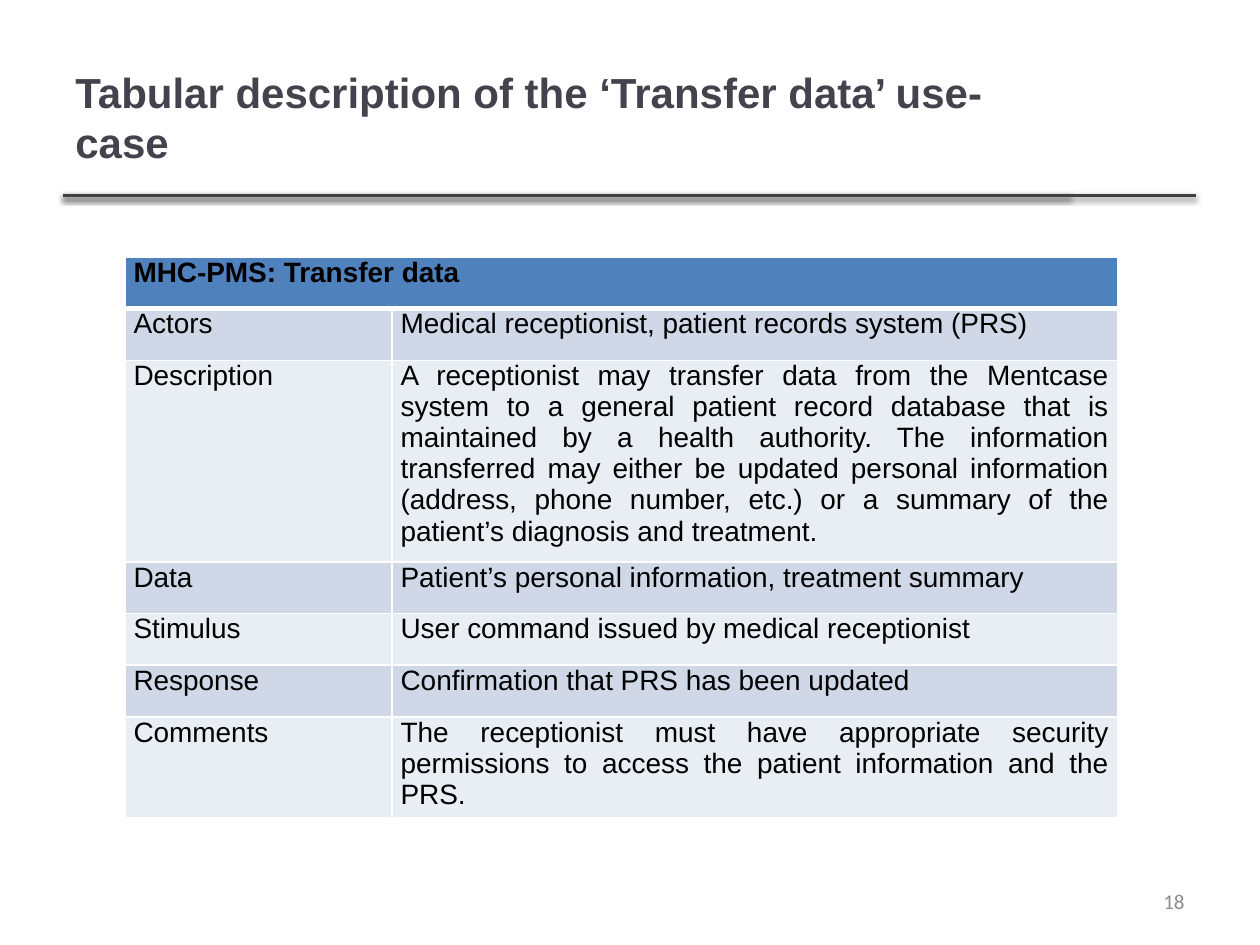
"""Build a slide with a tabular description of the 'Transfer data' use-case."""
from dataclasses import dataclass

from lxml.etree import SubElement
from pptx import Presentation
from pptx.dml.color import RGBColor
from pptx.enum.shapes import MSO_CONNECTOR
from pptx.enum.text import MSO_ANCHOR, PP_ALIGN
from pptx.oxml import parse_xml
from pptx.oxml.ns import nsdecls, qn
from pptx.util import Inches, Pt


@dataclass(frozen=True)
class Theme:
    title: str = "46424D"
    body: str = "000000"
    number: str = "8C8C8C"
    rule: str = "404040"
    border: str = "FFFFFF"
    header: str = "4F81BD"
    bands: tuple = ("D0D8E8", "E9EDF4")
    title_size: int = 24
    body_size: int = 16
    number_size: int = 12


THEME = Theme()


def write(frame, text, *, size, color, font="Arial", bold=False, align=PP_ALIGN.LEFT):
    frame.word_wrap = True
    paragraph = frame.paragraphs[0]
    paragraph.alignment = align
    run = paragraph.add_run()
    run.text = text
    run.font.name = font
    run.font.size = Pt(size)
    run.font.bold = bold
    run.font.color.rgb = RGBColor.from_string(color)


def style_cell(cell, fill, top, bottom):
    properties = cell._tc.get_or_add_tcPr()
    for side, width in (("lnL", 1), ("lnR", 1), ("lnT", top), ("lnB", bottom)):
        border = SubElement(properties, qn(f"a:{side}"), w=str(Pt(width)))
        paint = SubElement(border, qn("a:solidFill"))
        SubElement(paint, qn("a:srgbClr"), val=THEME.border)
    cell.fill.solid()
    cell.fill.fore_color.rgb = RGBColor.from_string(fill)
    cell.margin_left = cell.margin_right = Inches(0.07)
    cell.margin_top = cell.margin_bottom = 0


presentation = Presentation()
presentation.slide_width, presentation.slide_height = Inches(10), Inches(7.5)
slide = presentation.slides.add_slide(presentation.slide_layouts[6])

for rule_end in (8.49, 9.49):
    rule = slide.shapes.add_connector(
        MSO_CONNECTOR.STRAIGHT, Inches(0.5), Inches(1.55), Inches(rule_end), Inches(1.55)
    )
    rule.line.width = Pt(2)
    rule.line.color.rgb = RGBColor.from_string(THEME.rule)
    rule._element.spPr.append(parse_xml(
        f'<a:effectLst {nsdecls("a")}>'
        f'<a:outerShdw blurRad="{Pt(3.1)}" dist="{Pt(1.6)}" dir="5400000" rotWithShape="0">'
        '<a:srgbClr val="000000"><a:alpha val="38000"/></a:srgbClr>'
        '</a:outerShdw></a:effectLst>'
    ))

title = slide.shapes.add_textbox(Inches(0.5), Inches(0.3), Inches(7.98), Inches(1.25)).text_frame
title.vertical_anchor = MSO_ANCHOR.MIDDLE
write(title, "Tabular description of the ‘Transfer data’ use-case",
      size=THEME.title_size, color=THEME.title, bold=True)

page_number = slide.shapes.add_textbox(
    Inches(7.17), Inches(6.95), Inches(2.33), Inches(0.4)
).text_frame
page_number.vertical_anchor = MSO_ANCHOR.MIDDLE
write(page_number, "18", size=THEME.number_size, color=THEME.number,
      font="Calibri", align=PP_ALIGN.RIGHT)

use_case_rows = [
    ("MHC-PMS: Transfer data", ""),
    ("Actors", "Medical receptionist, patient records system (PRS)"),
    ("Description",
     "A receptionist may transfer data from the Mentcase system to a general patient record "
     "database that is maintained by a health authority. The information transferred may either "
     "be updated personal information (address, phone number, etc.) or a summary of the "
     "patient’s diagnosis and treatment."),
    ("Data", "Patient’s personal information, treatment summary"),
    ("Stimulus", "User command issued by medical receptionist"),
    ("Response", "Confirmation that PRS has been updated"),
    ("Comments",
     "The receptionist must have appropriate security permissions to access the patient "
     "information and the PRS."),
]
use_case = slide.shapes.add_table(
    len(use_case_rows), 2, Inches(0.99), Inches(2.04), Inches(7.88), Inches(4.43)
).table
for column, width in zip(use_case.columns, (2.12, 5.76)):
    column.width = Inches(width)
use_case.cell(0, 0).merge(use_case.cell(0, 1))

for row_index, texts in enumerate(use_case_rows):
    use_case.rows[row_index].height = Inches(0.41)
    is_header = row_index == 0
    fill = THEME.header if is_header else THEME.bands[(row_index - 1) % 2]
    for column_index, text in enumerate(texts):
        cell = use_case.cell(row_index, column_index)
        style_cell(cell, fill, top=3 if row_index == 1 else 1, bottom=3 if is_header else 1)
        if text:
            write(cell.text_frame, text, size=THEME.body_size, color=THEME.body,
                  bold=is_header, align=PP_ALIGN.JUSTIFY)

presentation.save("out.pptx")
